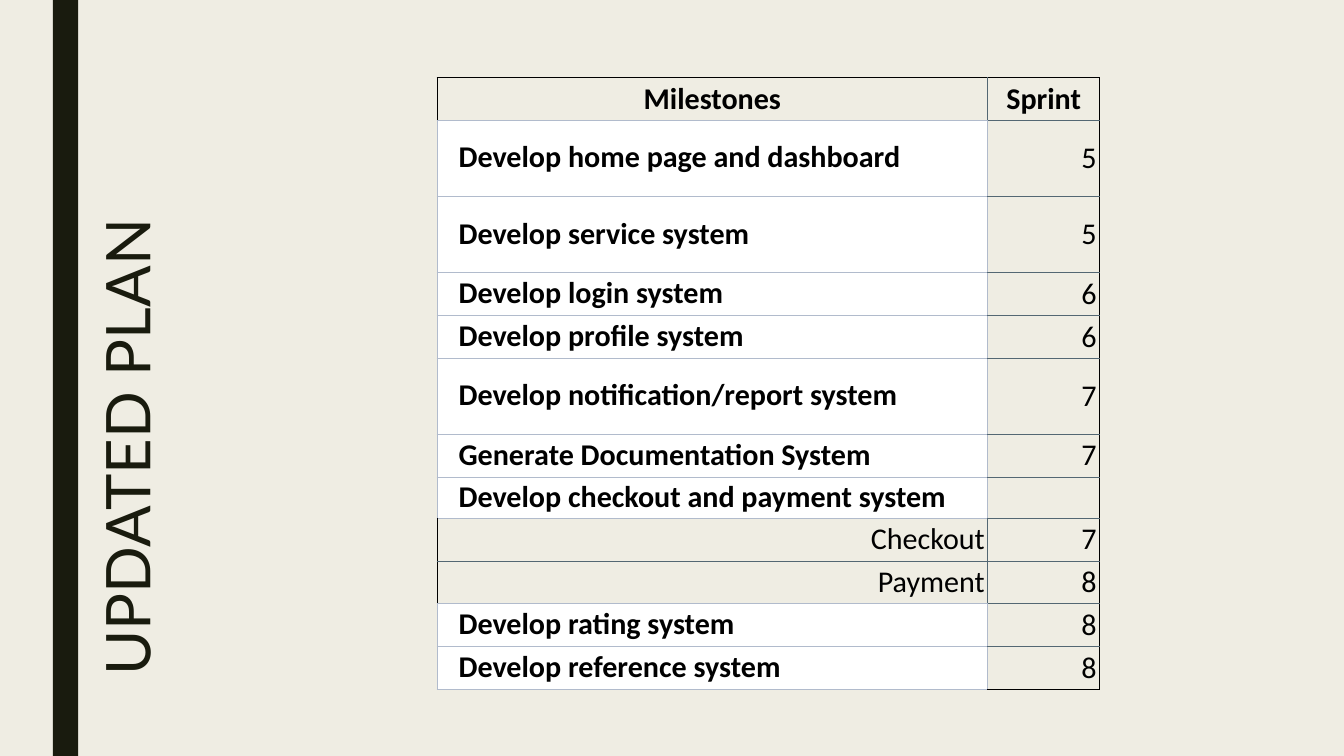
from lxml import etree
from pptx import Presentation
from pptx.dml.color import RGBColor
from pptx.enum.shapes import MSO_SHAPE
from pptx.enum.text import MSO_ANCHOR, MSO_AUTO_SIZE, PP_ALIGN
from pptx.oxml.ns import qn
from pptx.util import Inches, Pt

LEFT, CENTER, RIGHT = PP_ALIGN.LEFT, PP_ALIGN.CENTER, PP_ALIGN.RIGHT
TOP, MIDDLE = MSO_ANCHOR.TOP, MSO_ANCHOR.MIDDLE
RECTANGLE = MSO_SHAPE.RECTANGLE
NO_AUTOFIT = MSO_AUTO_SIZE.NONE

# Content: row kind, milestone, sprint, row height
TITLE = "UPDATED PLAN"
SHORT, TALL = 0.82, 1.51
ROWS = [
    ("header", "Milestones", "Sprint", SHORT),
    ("main", "Develop home page and dashboard", "5", TALL),
    ("main", "Develop service system", "5", TALL),
    ("main", "Develop login system", "6", SHORT),
    ("main", "Develop profile system", "6", SHORT),
    ("main", "Develop notification/report system", "7", TALL),
    ("main", "Generate Documentation System", "7", SHORT),
    ("main", "Develop checkout and payment system", "", SHORT),
    ("sub", "Checkout", "7", SHORT),
    ("sub", "Payment", "8", SHORT),
    ("main", "Develop rating system", "8", SHORT),
    ("main", "Develop reference system", "8", SHORT),
]
COLUMN_WIDTHS = [10.93, 2.22]
COLORS = {
    "background": "EFEDE3", "ink": "191B0E", "black": "000000",
    "white": "FFFFFF", "light": "B1BBCC", "dark": "536773",
}

# Formats: margins run left, top, right, bottom
HEADER = {"align": CENTER, "bold": True, "margins": (0.06,) * 4, "fill": None}
VALUE = {**HEADER, "align": RIGHT, "bold": False}
MAIN = {"align": LEFT, "bold": True, "margins": (0.43, 0, 0.03, 0.03), "fill": "white"}
MILESTONE_FORMATS = {"header": HEADER, "main": MAIN, "sub": VALUE}


def color(name):
    return RGBColor.from_string(COLORS[name])


def set_font(span, **values):
    for name, value in values.items():
        setattr(span.font, name, value)


def set_borders(cell, names):
    properties = cell._tc.get_or_add_tcPr()
    for index, (side, name) in enumerate(zip("LRTB", names)):
        line = etree.Element(qn(f"a:ln{side}"), w=str(Pt(1)))
        fill = etree.SubElement(line, qn("a:solidFill"))
        etree.SubElement(fill, qn("a:srgbClr"), val=COLORS[name])
        properties.insert(index, line)


def fill_cell(cell, text, style, borders):
    cell.vertical_anchor = MIDDLE
    for side, margin in zip(("left", "top", "right", "bottom"), style["margins"]):
        setattr(cell, f"margin_{side}", Inches(margin))
    if style["fill"]:
        cell.fill.solid()
        cell.fill.fore_color.rgb = color(style["fill"])
    else:
        cell.fill.background()
    set_borders(cell, borders)
    if text:
        para = cell.text_frame.paragraphs[0]
        para.alignment = style["align"]
        span = para.add_run()
        span.text = text
        set_font(span, name="Calibri", size=Pt(43), bold=style["bold"])
        span.font.color.rgb = color("black")


def milestone_borders(row):
    kinds = [entry[0] for entry in ROWS]
    if kinds[row] == "main":
        return ("light",) * 4
    if row == 0:
        top = "black"
    else:
        top = "light" if kinds[row - 1] == "main" else "dark"
    bottom = "light" if kinds[row + 1] == "main" else "dark"
    return "black", "dark", top, bottom


def sprint_borders(row):
    left = "light" if ROWS[row][0] == "main" else "dark"
    top = "black" if row == 0 else "dark"
    bottom = "black" if row == len(ROWS) - 1 else "dark"
    return left, "black", top, bottom


# Page
deck = Presentation()
deck.slide_width, deck.slide_height = Inches(26.67), Inches(15)
page = deck.slides.add_slide(deck.slide_layouts[5])
page.background.fill.solid()
page.background.fill.fore_color.rgb = color("background")

# Side bar
bar = page.shapes.add_shape(RECTANGLE, Inches(1.05), 0, Inches(0.5), Inches(15))
bar.shadow.inherit = False
bar.fill.solid()
bar.fill.fore_color.rgb = color("ink")
bar.line.fill.background()

# Vertical title
title = page.shapes.title
title.left, title.top = Inches(-3.53), Inches(6.41)
title.width, title.height = Inches(12.47), Inches(1.73)
title.rotation = 270
frame = title.text_frame
frame.word_wrap = True
frame.auto_size = NO_AUTOFIT
frame.vertical_anchor = TOP
for side in ("left", "top", "right", "bottom"):
    setattr(frame, f"margin_{side}", Inches(0.1))
para = frame.paragraphs[0]
para.alignment = LEFT
para.line_spacing = 0.89
span = para.add_run()
span.text = TITLE
set_font(span, name="Lato", size=Pt(88))
span.font.color.rgb = color("ink")

# Milestone table
table = page.shapes.add_table(
    len(ROWS), len(COLUMN_WIDTHS), Inches(8.67), Inches(1.54),
    Inches(sum(COLUMN_WIDTHS)), Inches(sum(entry[3] for entry in ROWS)),
).table
table.first_row = table.horz_banding = False
for column, width in zip(table.columns, COLUMN_WIDTHS):
    column.width = Inches(width)
for row, (kind, milestone, sprint, height) in enumerate(ROWS):
    table.rows[row].height = Inches(height)
    fill_cell(table.cell(row, 0), milestone, MILESTONE_FORMATS[kind], milestone_borders(row))
    fill_cell(table.cell(row, 1), sprint, HEADER if kind == "header" else VALUE,
              sprint_borders(row))

deck.save("out.pptx")
